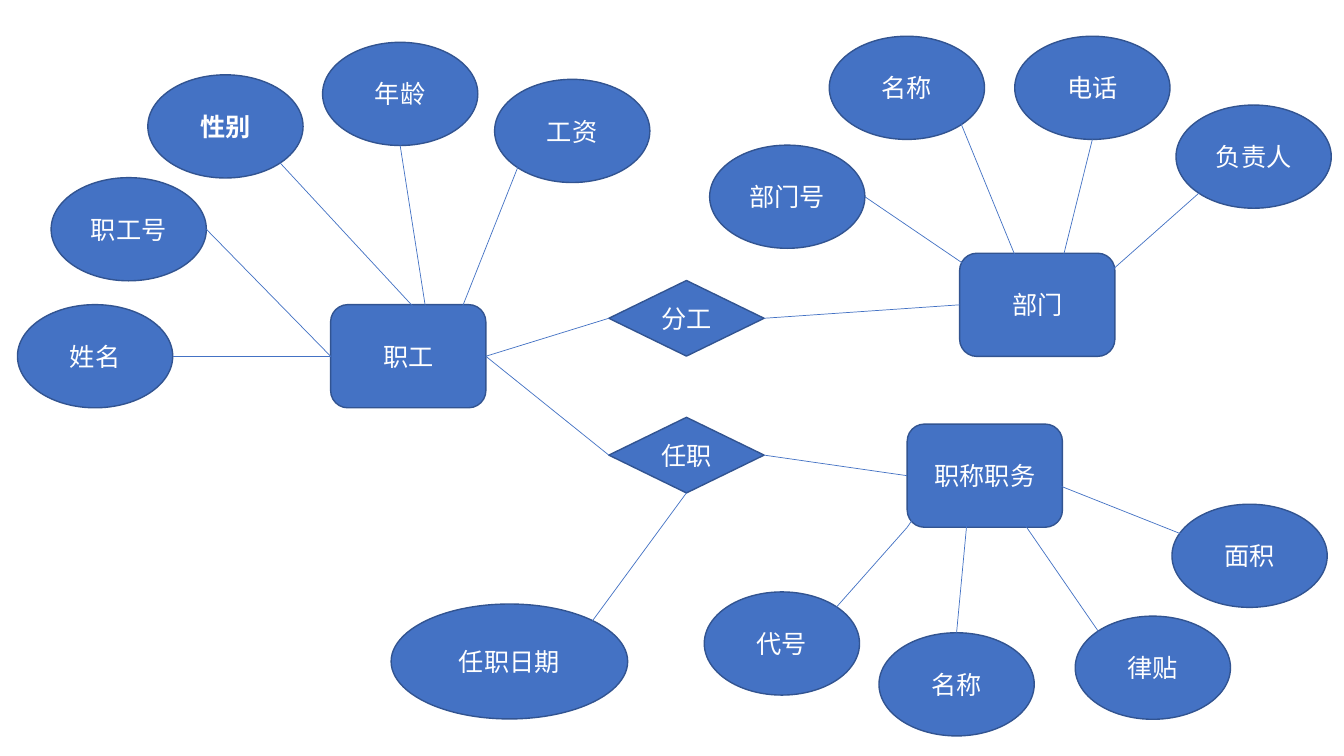
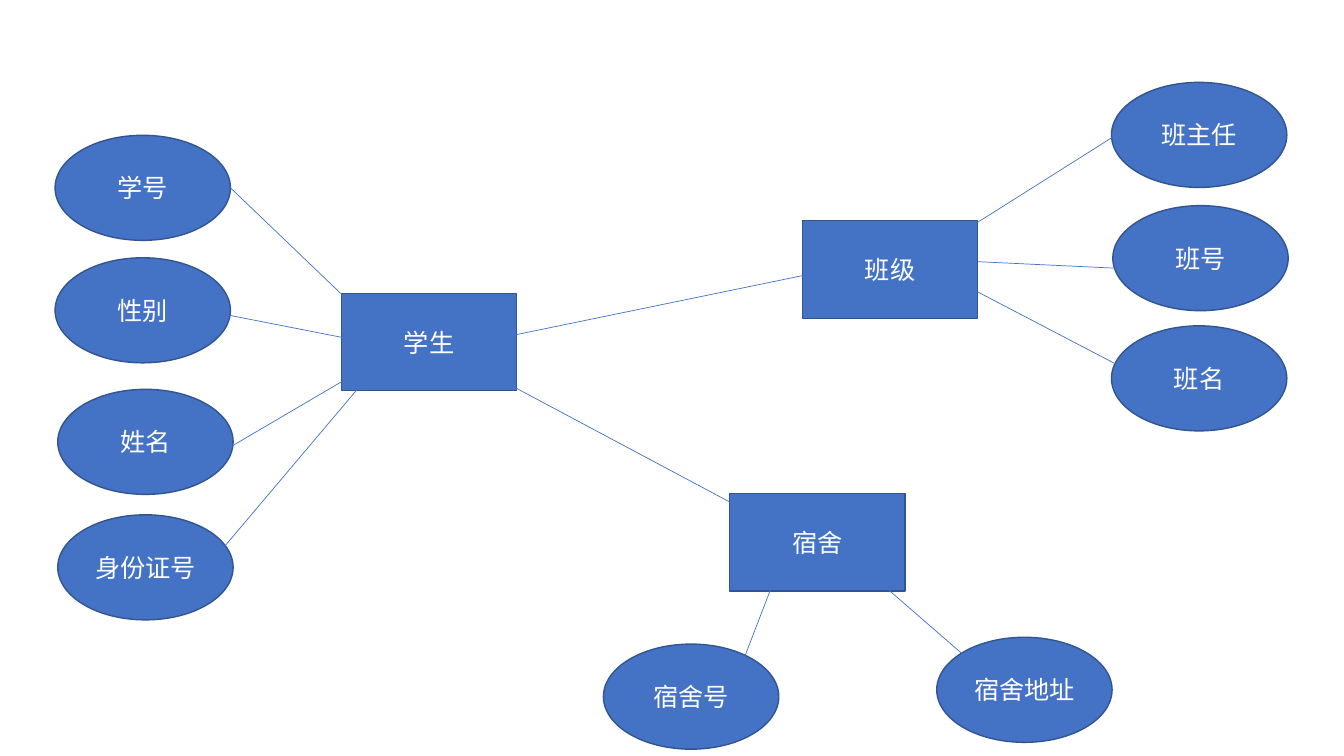
"""Build two entity-relationship diagrams from nodes and links."""
from collections import namedtuple
from dataclasses import dataclass

from lxml.etree import SubElement
from pptx import Presentation
from pptx.dml.color import RGBColor
from pptx.enum.shapes import MSO_CONNECTOR, MSO_SHAPE
from pptx.enum.text import MSO_ANCHOR, PP_ALIGN
from pptx.oxml.ns import qn
from pptx.util import Inches, Pt


@dataclass(frozen=True)
class Theme:
    """Colours, type and line widths shared by both slides."""
    fill: RGBColor = RGBColor(0x44, 0x72, 0xC4)
    outline: RGBColor = RGBColor(0x32, 0x54, 0x91)
    text: RGBColor = RGBColor(0xFF, 0xFF, 0xFF)
    font: str = "Noto Sans CJK SC"
    text_size: Pt = Pt(18)
    outline_width: Pt = Pt(1)
    link_width: Pt = Pt(0.5)


THEME = Theme()
WIDTH, HEIGHT = Inches(13.33), Inches(7.5)
Style = namedtuple("Style", "preset width height")
Attribute = namedtuple("Attribute", "label left top own_point entity_point bold",
                       defaults=(False,))

STAFF_ATTRIBUTE = Style(MSO_SHAPE.OVAL, 11.55, 13.65)
STAFF_ENTITY = Style(MSO_SHAPE.ROUNDED_RECTANGLE, 11.55, 13.65)
RELATION = Style(MSO_SHAPE.DIAMOND, 11.55, 10)
WIDE_ATTRIBUTE = Style(MSO_SHAPE.OVAL, 17.6, 15.2)
SCHOOL_ATTRIBUTE = Style(MSO_SHAPE.OVAL, 13.05, 13.9)
SCHOOL_ENTITY = Style(MSO_SHAPE.RECTANGLE, 13.05, 12.9)

LEFT, RIGHT, TOP, BOTTOM = (0, 0.5), (1, 0.5), (0.5, 0), (0.5, 1)
TOP_LEFT, TOP_RIGHT = (0.15, 0.15), (0.85, 0.15)
BOTTOM_LEFT, BOTTOM_RIGHT = (0.15, 0.85), (0.85, 0.85)

EMPLOYEE = [
    Attribute("姓名", 1.3, 40.3, RIGHT, LEFT),
    Attribute("职工号", 3.8, 23.5, RIGHT, LEFT),
    Attribute("性别", 11, 9.9, BOTTOM_RIGHT, (0.6, 0.13), True),
    Attribute("年龄", 24, 5.6, BOTTOM, (0.62, 0.11)),
    Attribute("工资", 36.8, 10.5, BOTTOM_LEFT, (0.82, 0.13)),
]
DEPARTMENT = [
    Attribute("部门号", 52.8, 19.2, RIGHT, (0.16, 0.24)),
    Attribute("名称", 61.7, 4.8, BOTTOM_RIGHT, (0.4, 0.18)),
    Attribute("电话", 75.5, 4.8, BOTTOM, (0.63, 0.26)),
    Attribute("负责人", 87.5, 13.9, BOTTOM_LEFT, (0.76, 0.46)),
]
POSITION = [
    Attribute("代号", 52.4, 78.3, TOP_RIGHT, (0, 1)),
    Attribute("名称", 65.4, 83.7, TOP, (0.39, 0.87)),
    Attribute("律贴", 80, 81.5, TOP_LEFT, (0.71, 0.87)),
    Attribute("面积", 87.2, 66.7, (0.18, 0.36), (0.82, 0.5)),
]
STUDENT = [
    Attribute("学号", 4.1, 17.9, RIGHT, (0.1, 0.18)),
    Attribute("性别", 4.1, 34.1, (0.85, 0.5), (0.14, 0.5)),
    Attribute("姓名", 4.3, 51.5, (0.85, 0.68), (0.14, 0.76)),
    Attribute("身份证号", 4.3, 68.1, (0.85, 0.5), (0.14, 0.88)),
]
CLASS = [
    Attribute("班主任", 82.7, 10.9, (0.16, 0.36), (0.67, 0.39)),
    Attribute("班号", 82.8, 27.2, (0.2, 0.61), (1, 0.42)),
    Attribute("班名", 82.7, 43.1, (0.25, 0.56), (1, 0.73)),
]
DORMITORY = [
    Attribute("宿舍号", 44.9, 85.2, (0.72, 0.49), (0.28, 0.76)),
    Attribute("宿舍地址", 69.7, 84.3, (0.23, 0.28), (0.76, 0.76)),
]


def across(percent):
    """Return a share of the slide width."""
    return round(WIDTH * percent / 100)


def down(percent):
    """Return a share of the slide height."""
    return round(HEIGHT * percent / 100)


def add_label(box, label, bold):
    """Write one centred run inside a node."""
    frame = box.text_frame
    frame.word_wrap = True
    frame.vertical_anchor = MSO_ANCHOR.MIDDLE
    frame.margin_left = frame.margin_right = 0
    para = frame.paragraphs[0]
    para.alignment = PP_ALIGN.CENTER
    span = para.add_run()
    span.text = label
    span.font.size = THEME.text_size
    span.font.bold = bold
    span.font.color.rgb = THEME.text
    span.font.name = THEME.font
    SubElement(span.font._element, qn("a:ea"), typeface=THEME.font)


def add_node(page, style, label, left, top, bold=False):
    """Draw a labelled node at a percentage position."""
    box = page.shapes.add_shape(style.preset, across(left), down(top),
                                across(style.width), down(style.height))
    box.shadow.inherit = False
    box.fill.solid()
    box.fill.fore_color.rgb = THEME.fill
    box.line.color.rgb = THEME.outline
    box.line.width = THEME.outline_width
    add_label(box, label, bold)
    return box


def locate(box, point):
    """Turn a point given as shares of a node into slide coordinates."""
    return (round(box.left + box.width * point[0]),
            round(box.top + box.height * point[1]))


def add_link(page, start, start_point, end, end_point):
    """Join two nodes with a thin straight line."""
    line = page.shapes.add_connector(MSO_CONNECTOR.STRAIGHT,
                                     *locate(start, start_point),
                                     *locate(end, end_point))
    line.line.color.rgb = THEME.fill
    line.line.width = THEME.link_width
    SubElement(line._element.spPr, qn("a:effectLst"))


def add_attributes(page, entity, style, attributes):
    """Draw the attributes of an entity and link each one to it."""
    for item in attributes:
        box = add_node(page, style, item.label, item.left, item.top, item.bold)
        add_link(page, box, item.own_point, entity, item.entity_point)


def add_relation(page, label, top, source, target):
    """Draw a relation diamond between two entities."""
    diamond = add_node(page, RELATION, label, 45.3, top)
    add_link(page, source, RIGHT, diamond, LEFT)
    add_link(page, diamond, RIGHT, target, LEFT)
    return diamond


def build_staff(page):
    """Draw the employee, department and position diagram."""
    employee = add_node(page, STAFF_ENTITY, "职工", 24.6, 40.3)
    department = add_node(page, STAFF_ENTITY, "部门", 71.4, 33.5)
    position = add_node(page, STAFF_ENTITY, "职称职务", 67.5, 56.1)
    for entity, attributes in ((employee, EMPLOYEE), (department, DEPARTMENT),
                               (position, POSITION)):
        add_attributes(page, entity, STAFF_ATTRIBUTE, attributes)
    add_link(page, position, (0, 1), position, (0.1, 0.78))
    add_relation(page, "分工", 37.1, employee, department)
    appointment = add_relation(page, "任职", 55.2, employee, position)
    date = add_node(page, WIDE_ATTRIBUTE, "任职日期", 29.1, 79.9)
    add_link(page, date, TOP_RIGHT, appointment, BOTTOM)


def build_school(page):
    """Draw the student, class and dormitory diagram."""
    student = add_node(page, SCHOOL_ENTITY, "学生", 25.4, 38.8)
    school_class = add_node(page, SCHOOL_ENTITY, "班级", 59.7, 29.2)
    dormitory = add_node(page, SCHOOL_ENTITY, "宿舍", 54.3, 65.3)
    for entity, attributes in ((student, STUDENT), (school_class, CLASS),
                               (dormitory, DORMITORY)):
        add_attributes(page, entity, SCHOOL_ATTRIBUTE, attributes)
    add_link(page, school_class, (0.17, 0.5), student, (0.9, 0.46))
    add_link(page, dormitory, (0.14, 0.22), student, (0.9, 0.88))


def main():
    """Create and save the deck."""
    deck = Presentation()
    deck.slide_width, deck.slide_height = WIDTH, HEIGHT
    for build in (build_staff, build_school):
        build(deck.slides.add_slide(deck.slide_layouts[6]))
    deck.save("out.pptx")


main()
